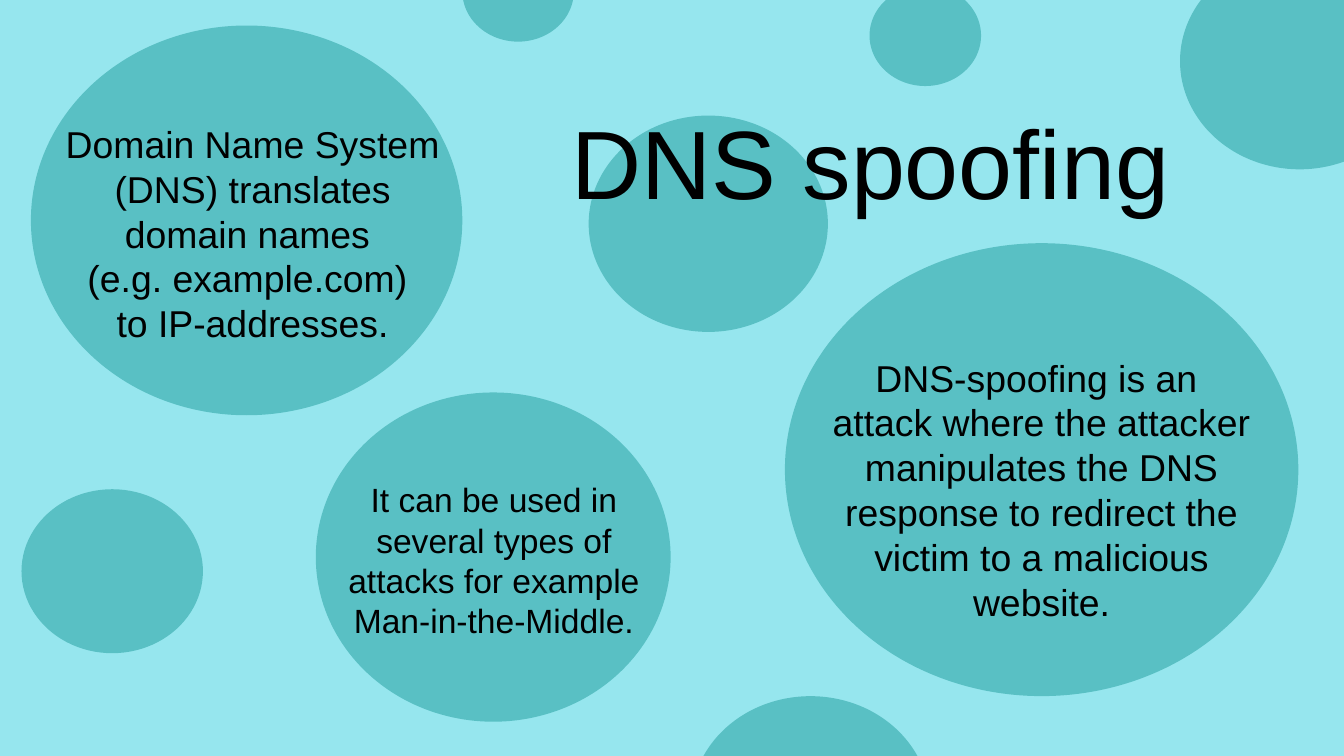
from pptx import Presentation
from pptx.dml.color import RGBColor
from pptx.enum.shapes import MSO_SHAPE
from pptx.enum.text import MSO_ANCHOR, PP_ALIGN
from pptx.util import Inches, Pt

COLUMNS, ROWS = 100, 56.25
CELL = Inches(0.1)
BACKGROUND, BUBBLE, INK = "96E6EE", "59C0C4", "000000"

LARGE_BUBBLES = [
    (43.8, 8.6, 17.8, 16.1),
    (23.5, 29.2, 26.4, 24.5),
    (58.4, 18.1, 38.2, 33.7),
    (2.3, 1.9, 32.1, 29),
]
SMALL_BUBBLES = [
    (1.6, 36.4, 13.5, 12.2),
    (87.8, -3.5, 17.8, 16.1),
    (51.4, 51.8, 17.8, 16.1),
    (64.7, -1.1, 8.3, 7.5),
    (34.4, -4.4, 8.3, 7.5),
]
DNS_LINES = [
    "Domain Name System (DNS) translates domain names ",
    "(e.g. example.com) ",
    "to IP-addresses.",
]
SPOOFING_LINES = [
    "DNS-spoofing is an ",
    "attack where the attacker manipulates the DNS response to redirect "
    "the victim to a malicious website.",
]
USE_LINES = ["It can be used in several types of attacks for example Man-in-the-Middle."]


def paint(fill, color):
    """Give a fill one solid colour."""
    fill.solid()
    fill.fore_color.rgb = RGBColor.from_string(color)


def grid(*cells):
    """Turn counts of grid cells into lengths."""
    return [round(count * CELL) for count in cells]


def add_bubbles(page, places):
    """Draw one plain ellipse for each place on the grid."""
    for place in places:
        bubble = page.shapes.add_shape(MSO_SHAPE.OVAL, *grid(*place))
        bubble.shadow.inherit = False
        paint(bubble.fill, BUBBLE)
        bubble.line.fill.background()


def add_text(page, place, lines, size, anchor=MSO_ANCHOR.MIDDLE, indent=0):
    """Write centred paragraphs in a wrapping box."""
    frame = page.shapes.add_textbox(*grid(*place)).text_frame
    frame.word_wrap = True
    frame.vertical_anchor = anchor
    frame.margin_left = frame.margin_right = CELL
    frame.margin_top = frame.margin_bottom = CELL
    frame.text = "\n".join(lines)
    for para in frame.paragraphs:
        para.alignment = PP_ALIGN.CENTER
        if indent:
            properties = para._p.get_or_add_pPr()
            properties.set("marL", str(round(indent * CELL)))
            properties.set("indent", "0")
        for span in para.runs:
            span.font.name = "Arial"
            span.font.size = Pt(size)
            paint(span.font.fill, INK)


def main():
    """Build the DNS spoofing slide."""
    deck = Presentation()
    deck.slide_width, deck.slide_height = grid(COLUMNS, ROWS)
    page = deck.slides.add_slide(deck.slide_layouts[6])
    paint(page.background.fill, BACKGROUND)
    add_bubbles(page, LARGE_BUBBLES)
    add_text(page, (39, 5, 51.5, 13.9), ["DNS spoofing"], 52)
    add_text(page, (-1.8, 7.6, 36.2, 19.5), DNS_LINES, 20, indent=5)
    add_text(page, (54.4, 25.4, 41.2, 23.2), SPOOFING_LINES, 20, MSO_ANCHOR.TOP, 5)
    add_text(page, (22.8, 32.9, 27.9, 17.5), USE_LINES, 18)
    add_bubbles(page, SMALL_BUBBLES)
    deck.save("out.pptx")


if __name__ == "__main__":
    main()
